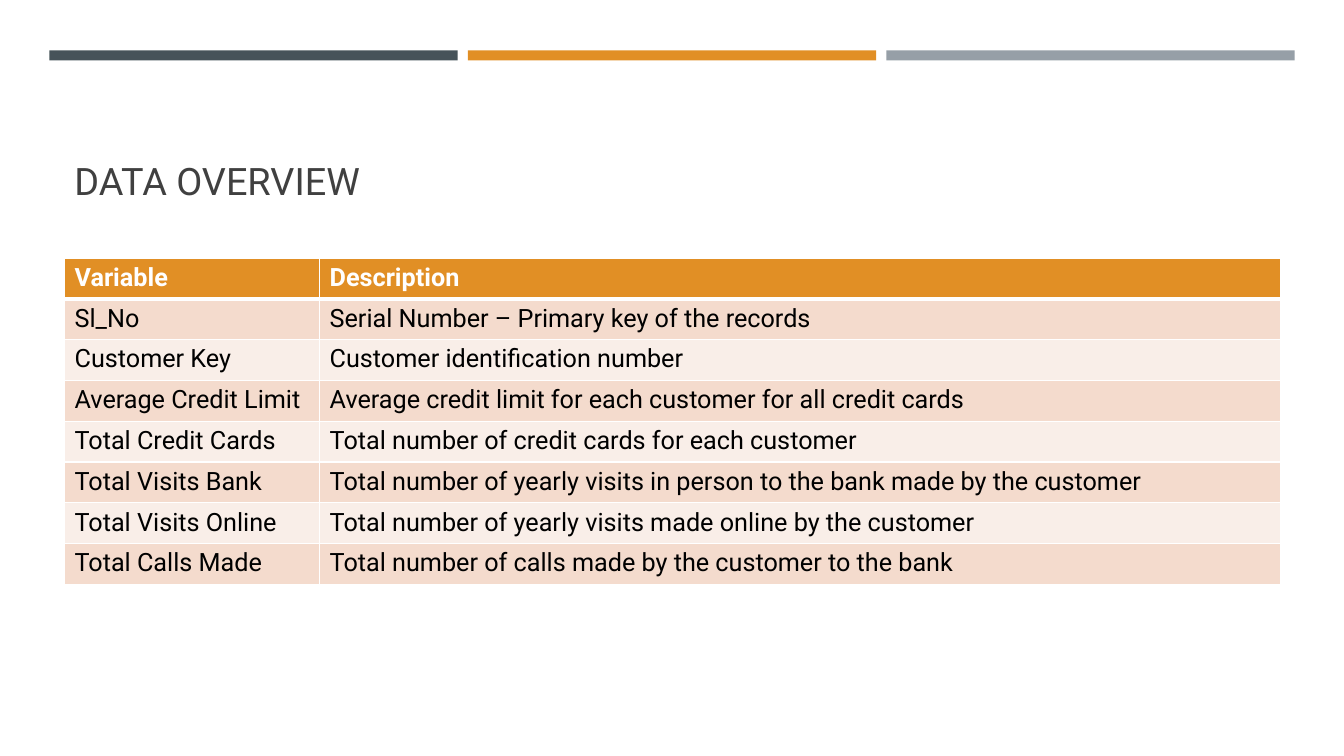
from lxml.etree import SubElement
from pptx import Presentation
from pptx.dml.color import RGBColor
from pptx.enum.shapes import MSO_SHAPE
from pptx.enum.text import MSO_ANCHOR
from pptx.oxml.ns import qn
from pptx.util import Inches, Pt

SLATE = RGBColor(0x46, 0x53, 0x59)
ORANGE = RGBColor(0xE1, 0x8F, 0x25)
GREY = RGBColor(0x96, 0x9F, 0xA7)
CHARCOAL = RGBColor(0x40, 0x40, 0x40)
BLACK = RGBColor(0x00, 0x00, 0x00)
WHITE = RGBColor(0xFF, 0xFF, 0xFF)
PEACH = RGBColor(0xF4, 0xDB, 0xCD)
CREAM = RGBColor(0xF9, 0xEE, 0xE8)

BAR_LEFT, BAR_PITCH, BAR_WIDTH = 0.49, 4.15, 4.05
CONTENT_LEFT, CONTENT_WIDTH = 0.64, 12.06
COLUMN_WIDTHS = (2.53, 9.53)
ROW_HEIGHT = 0.405

TITLE = {"name": "Roboto", "size": Pt(27), "bold": False}
HEADER = {"name": "Roboto", "size": Pt(18), "bold": True}
BODY = {**HEADER, "bold": False}

VARIABLES = (
    ("Variable", "Description"),
    ("Sl_No", "Serial Number – Primary key of the records"),
    ("Customer Key", "Customer identification number"),
    ("Average Credit Limit", "Average credit limit for each customer for all credit cards"),
    ("Total Credit Cards", "Total number of credit cards for each customer"),
    ("Total Visits Bank", "Total number of yearly visits in person to the bank made by the customer"),
    ("Total Visits Online", "Total number of yearly visits made online by the customer"),
    ("Total Calls Made", "Total number of calls made by the customer to the bank"),
)


def write(para, text, style, color):
    """Put one styled span of text into a paragraph."""
    span = para.add_run()
    span.text = text
    for name, value in style.items():
        setattr(span.font, name, value)
    span.font.color.rgb = color


def add_bar(page, column, color):
    """Draw the accent bar of one column along the top."""
    left = BAR_LEFT + column * BAR_PITCH
    bar = page.shapes.add_shape(
        MSO_SHAPE.RECTANGLE, Inches(left), Inches(0.5), Inches(BAR_WIDTH), Inches(0.1))
    bar.shadow.inherit = False
    bar.fill.solid()
    bar.fill.fore_color.rgb = color
    bar.line.fill.background()


def add_title(page, text):
    """Place the heading at the foot of its box."""
    box = page.shapes.add_textbox(
        Inches(CONTENT_LEFT), Inches(0.77), Inches(CONTENT_WIDTH), Inches(1.3))
    frame = box.text_frame
    frame.word_wrap = True
    frame.vertical_anchor = MSO_ANCHOR.BOTTOM
    para = frame.paragraphs[0]
    para.line_spacing = 0.9
    write(para, text, TITLE, CHARCOAL)


def add_borders(cell, widths):
    """Give a cell white borders of the given widths by side."""
    properties = cell._tc.get_or_add_tcPr()
    for side, width in widths.items():
        line = SubElement(properties, qn(f"a:ln{side}"), w=str(Pt(width)))
        fill = SubElement(line, qn("a:solidFill"))
        SubElement(fill, qn("a:srgbClr"), val=str(WHITE))


def add_variable_table(page, rows):
    """Build the banded table with a bold header row."""
    frame = page.shapes.add_table(
        len(rows), len(COLUMN_WIDTHS), Inches(CONTENT_LEFT), Inches(2.56),
        Inches(CONTENT_WIDTH), Inches(ROW_HEIGHT * len(rows)))
    table = frame.table
    for column, width in zip(table.columns, COLUMN_WIDTHS):
        column.width = Inches(width)
    for index, texts in enumerate(rows):
        table.rows[index].height = Inches(ROW_HEIGHT)
        header = index == 0
        band = ORANGE if header else PEACH if index % 2 else CREAM
        style, color = (HEADER, WHITE) if header else (BODY, BLACK)
        widths = {"L": 1, "R": 1, "T": 3 if index == 1 else 1, "B": 3 if header else 1}
        for cell, text in zip(table.rows[index].cells, texts):
            add_borders(cell, widths)
            cell.fill.solid()
            cell.fill.fore_color.rgb = band
            write(cell.text_frame.paragraphs[0], text, style, color)


def main():
    """Build the data overview slide and save it."""
    deck = Presentation()
    deck.slide_width, deck.slide_height = Inches(13.33), Inches(7.5)
    page = deck.slides.add_slide(deck.slide_layouts[6])
    for column, color in enumerate((SLATE, ORANGE, GREY)):
        add_bar(page, column, color)
    add_title(page, "DATA OVERVIEW")
    add_variable_table(page, VARIABLES)
    deck.save("out.pptx")


if __name__ == "__main__":
    main()
